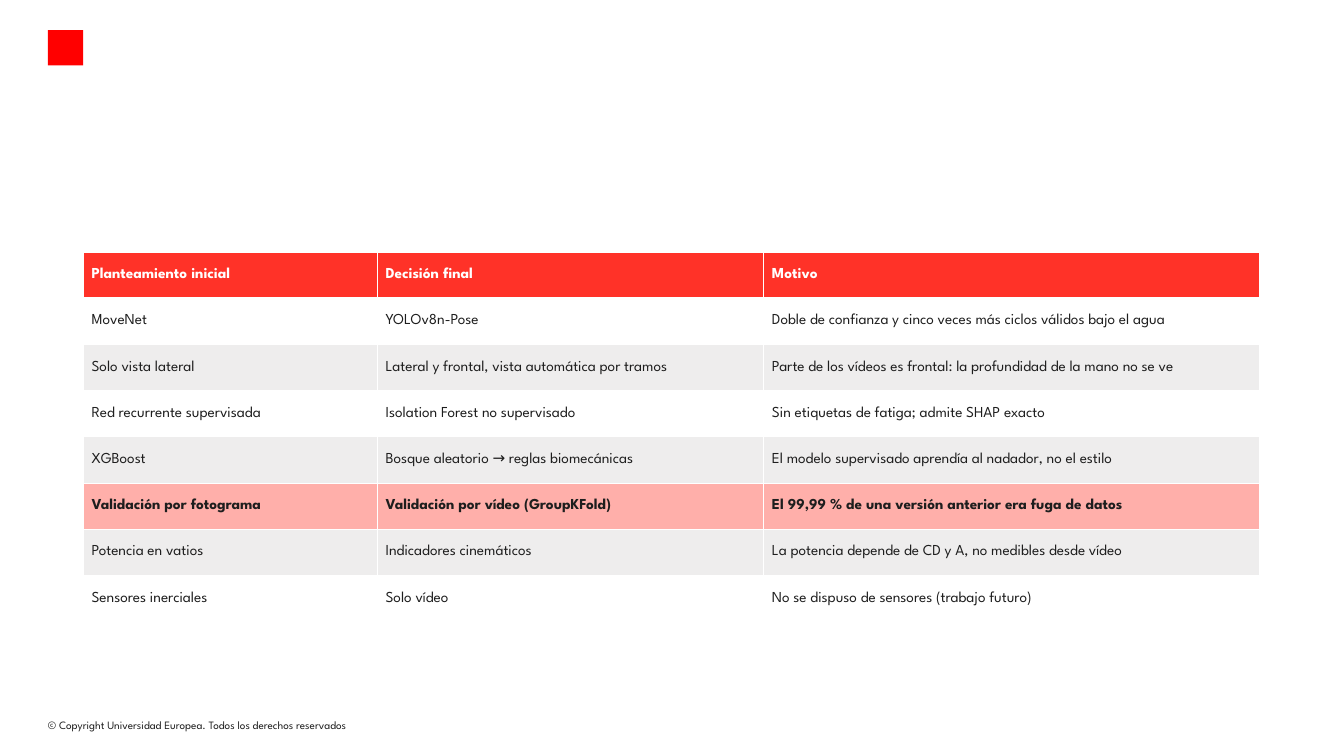
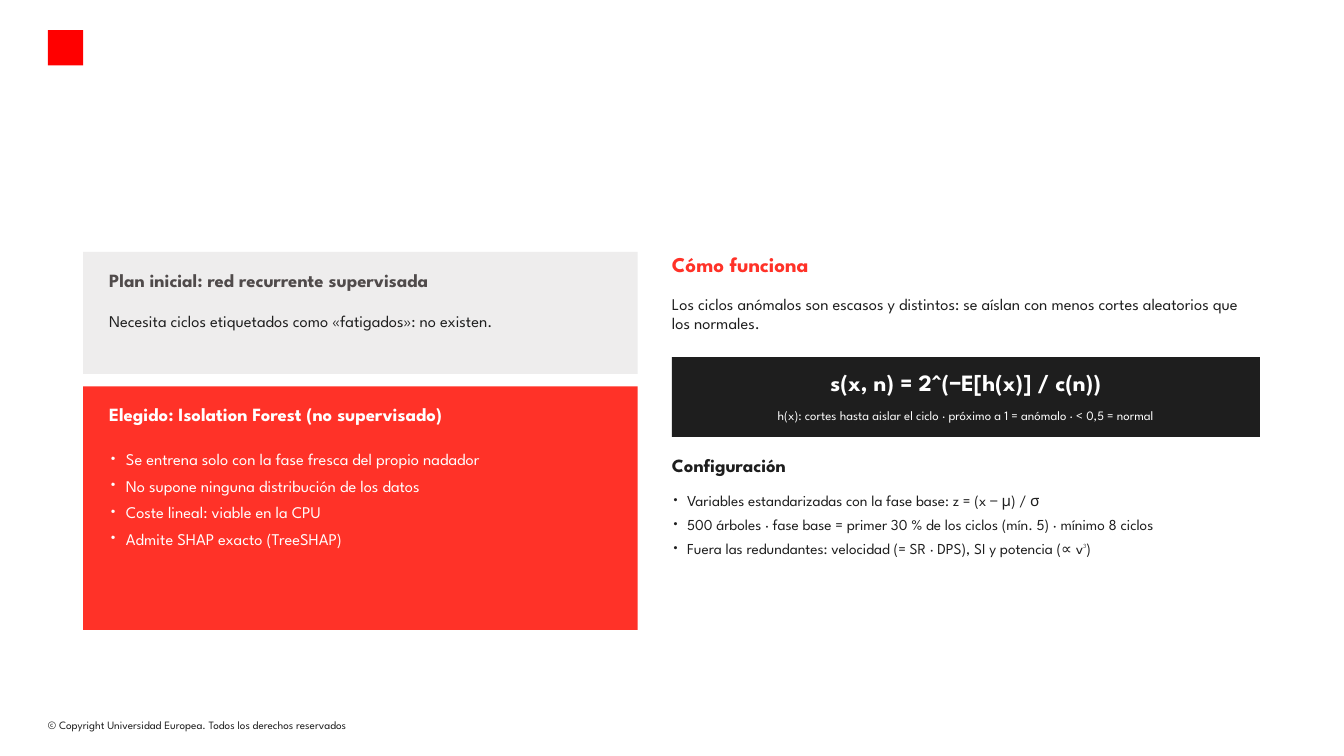
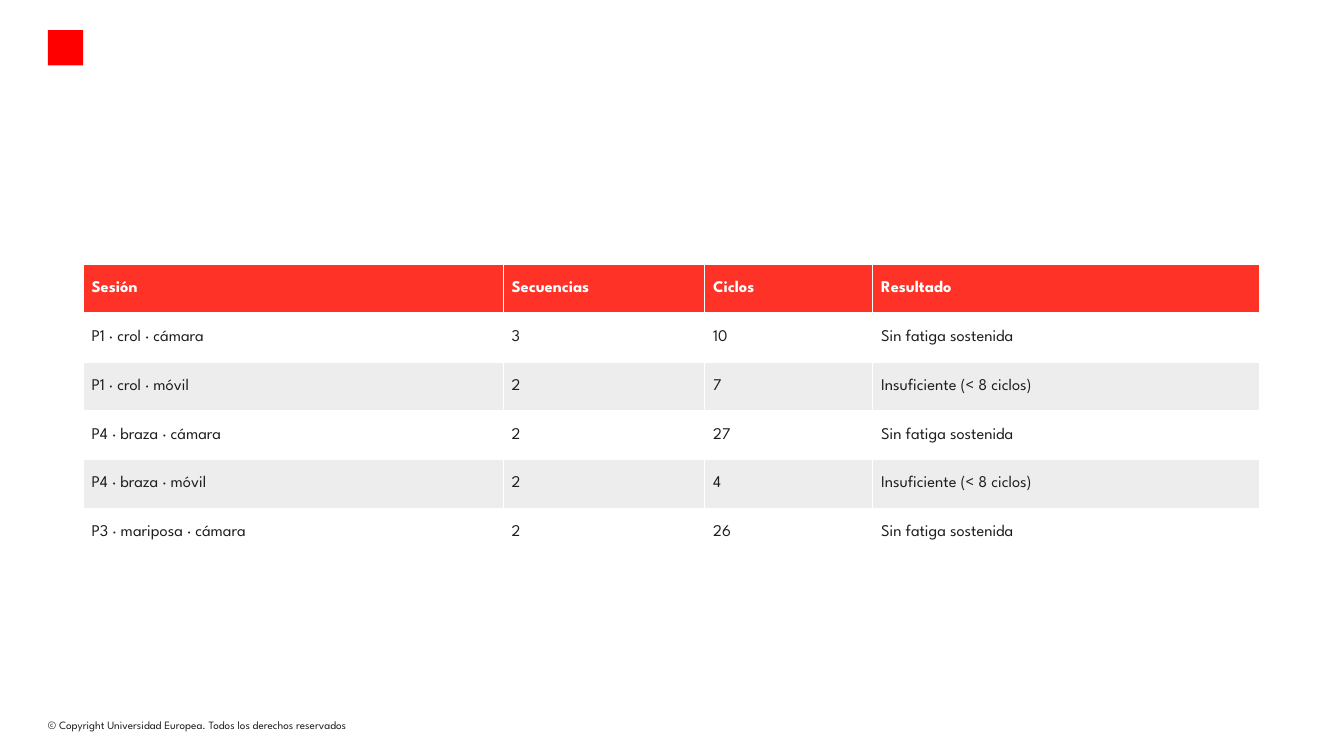
from dataclasses import dataclass

from lxml import etree
from pptx import Presentation
from pptx.dml.color import RGBColor
from pptx.enum.shapes import MSO_SHAPE
from pptx.enum.text import MSO_ANCHOR, PP_ALIGN
from pptx.oxml.ns import qn
from pptx.util import Inches, Pt

RECT = MSO_SHAPE.RECTANGLE
TOP, MIDDLE = MSO_ANCHOR.TOP, MSO_ANCHOR.MIDDLE
LEFT, CENTER = PP_ALIGN.LEFT, PP_ALIGN.CENTER
BLANK = 6


@dataclass(frozen=True)
class Theme:
    font: str = "League Spartan"
    red: str = "FF3228"
    mark: str = "FF0000"
    pink: str = "FFAFAA"
    gray: str = "EEEDED"
    slate: str = "504B4B"
    ink: str = "1E1E1E"
    white: str = "FFFFFF"
    big: float = 20
    title: float = 18
    head: float = 16
    body: float = 14
    small: float = 13
    note: float = 11
    foot: float = 9.6


T = Theme()
WIDE, HIGH = 16, 9
EDGE = 0.99      # left edge of the content
RIGHT = 8        # left edge of the second column
LEFT_W, RIGHT_W = 6.6, 7
PAD = 0.31       # text inset inside a panel
RULE, THICK = 1, 3

FOOTER = "© Copyright Universidad Europea. Todos los derechos reservados"

CHOICES = {
    "top": 3, "row": 0.55, "size": T.small, "strong": 5,
    "cols": [3.5, 4.6, 5.9],
    "rows": [
        ("Planteamiento inicial", "Decisión final", "Motivo"),
        ("MoveNet", "YOLOv8n-Pose",
         "Doble de confianza y cinco veces más ciclos válidos bajo el agua"),
        ("Solo vista lateral", "Lateral y frontal, vista automática por tramos",
         "Parte de los vídeos es frontal: la profundidad de la mano no se ve"),
        ("Red recurrente supervisada", "Isolation Forest no supervisado",
         "Sin etiquetas de fatiga; admite SHAP exacto"),
        ("XGBoost", "Bosque aleatorio → reglas biomecánicas",
         "El modelo supervisado aprendía al nadador, no el estilo"),
        ("Validación por fotograma", "Validación por vídeo (GroupKFold)",
         "El 99,99 % de una versión anterior era fuga de datos"),
        ("Potencia en vatios", "Indicadores cinemáticos",
         "La potencia depende de CD y A, no medibles desde vídeo"),
        ("Sensores inerciales", "Solo vídeo",
         "No se dispuso de sensores (trabajo futuro)"),
    ],
}

SESSIONS = {
    "top": 3.15, "row": 0.58, "size": T.body, "strong": None,
    "cols": [5, 2.4, 2, 4.6],
    "rows": [
        ("Sesión", "Secuencias", "Ciclos", "Resultado"),
        ("P1 · crol · cámara", "3", "10", "Sin fatiga sostenida"),
        ("P1 · crol · móvil", "2", "7", "Insuficiente (< 8 ciclos)"),
        ("P4 · braza · cámara", "2", "27", "Sin fatiga sostenida"),
        ("P4 · braza · móvil", "2", "4", "Insuficiente (< 8 ciclos)"),
        ("P3 · mariposa · cámara", "2", "26", "Sin fatiga sostenida"),
    ],
}

# left, top, width, height, fill
PANELS = [
    (EDGE, 3, LEFT_W, 1.45, T.gray),
    (EDGE, 4.6, LEFT_W, 2.9, T.red),
    (RIGHT, 4.25, RIGHT_W, 0.95, T.ink),
]

# column, top, height, lines, format
INNER = (EDGE + PAD, 6)
OUTER = (RIGHT, RIGHT_W)
TEXTS = [
    (INNER, 3.2, 0.4, ["Plan inicial: red recurrente supervisada"],
     dict(size=T.head, color=T.slate, bold=True)),
    (INNER, 3.7, 0.7,
     ["Necesita ciclos etiquetados como «fatigados»: no existen."],
     dict(size=T.body, color=T.ink)),
    (INNER, 4.8, 0.4, ["Elegido: Isolation Forest (no supervisado)"],
     dict(size=T.head, color=T.white, bold=True)),
    (INNER, 5.35, 2.1,
     ["Se entrena solo con la fase fresca del propio nadador",
      "No supone ninguna distribución de los datos",
      "Coste lineal: viable en la CPU",
      "Admite SHAP exacto (TreeSHAP)"],
     dict(size=T.body, color=T.white, hang=0.2)),
    (OUTER, 3, 0.4, ["Cómo funciona"],
     dict(size=T.title, color=T.red, bold=True)),
    (OUTER, 3.5, 0.7,
     ["Los ciclos anómalos son escasos y distintos: se aíslan con menos "
      "cortes aleatorios que los normales."],
     dict(size=T.body, color=T.ink)),
    (OUTER, 4.25, 0.6, ["s(x, n) = 2^(−E[h(x)] / c(n))"],
     dict(size=T.big, color=T.white, bold=True, align=CENTER, anchor=MIDDLE)),
    (OUTER, 4.85, 0.35,
     ["h(x): cortes hasta aislar el ciclo · próximo a 1 = anómalo · "
      "< 0,5 = normal"],
     dict(size=T.note, color=T.white, align=CENTER)),
    (OUTER, 5.4, 0.4, ["Configuración"],
     dict(size=T.head, color=T.ink, bold=True)),
    (OUTER, 5.85, 1.7,
     ["Variables estandarizadas con la fase base: z = (x − μ) / σ",
      "500 árboles · fase base = primer 30 % de los ciclos (mín. 5) · "
      "mínimo 8 ciclos",
      "Fuera las redundantes: velocidad (= SR · DPS), SI y potencia (∝ v³)"],
     dict(size=T.small, color=T.ink, hang=0.18, after=5)),
]


def rgb(code):
    return RGBColor.from_string(code)


def paint(thing, code):
    thing.fill.solid()
    thing.fill.fore_color.rgb = rgb(code)


def add_run(para, text, size, color, bold=False):
    run = para.add_run()
    run.text = text
    font = run.font
    font.name, font.size, font.bold = T.font, Pt(size), bold
    font.color.rgb = rgb(color)


def add_bullet(para, hang):
    props = para._p.get_or_add_pPr()
    props.set("marL", str(Inches(hang)))
    props.set("indent", str(-Inches(hang)))
    etree.SubElement(props, qn("a:buFont")).set("typeface", T.font)
    etree.SubElement(props, qn("a:buChar")).set("char", "•")


def add_text(slide, box, lines, size, color, bold=False, align=LEFT,
             anchor=TOP, hang=0, after=6):
    shape = slide.shapes.add_textbox(*map(Inches, box))
    frame = shape.text_frame
    frame.word_wrap = True
    frame.vertical_anchor = anchor
    frame.margin_left = frame.margin_right = 0
    frame.margin_top = frame.margin_bottom = 0
    for i, line in enumerate(lines):
        para = frame.add_paragraph() if i else frame.paragraphs[0]
        para.alignment = align
        para.space_after = Pt(after)
        if hang:
            add_bullet(para, hang)
        add_run(para, line, size, color, bold)
    return shape


def add_panel(slide, left, top, width, height, fill):
    shape = slide.shapes.add_shape(
        RECT, *map(Inches, (left, top, width, height)))
    shape.shadow.inherit = False
    paint(shape, fill)
    shape.line.fill.background()
    return shape


def add_rules(cell, row):
    """Draw white cell borders, thicker under the header row."""
    props = cell._tc.get_or_add_tcPr()
    widths = {"L": RULE, "R": RULE,
              "T": THICK if row == 1 else RULE,
              "B": THICK if row == 0 else RULE}
    for side, width in widths.items():
        line = etree.SubElement(props, qn("a:ln" + side), w=str(Pt(width)))
        fill = etree.SubElement(line, qn("a:solidFill"))
        etree.SubElement(fill, qn("a:srgbClr")).set("val", T.white)


def row_fill(row, strong):
    if row == 0:
        return T.red
    if row == strong:
        return T.pink
    return T.white if row % 2 else T.gray


def add_grid(slide, data):
    rows, cols = data["rows"], data["cols"]
    box = (EDGE, data["top"], sum(cols), data["row"] * len(rows))
    table = slide.shapes.add_table(
        len(rows), len(cols), *map(Inches, box)).table
    for col, width in zip(table.columns, cols):
        col.width = Inches(width)
    for r, texts in enumerate(rows):
        table.rows[r].height = Inches(data["row"])
        for c, text in enumerate(texts):
            cell = table.cell(r, c)
            cell.vertical_anchor = MIDDLE
            cell.margin_left = cell.margin_right = Inches(0.1)
            cell.margin_top = cell.margin_bottom = Inches(0.03)
            add_rules(cell, r)
            paint(cell, row_fill(r, data["strong"]))
            add_run(cell.text_frame.paragraphs[0], text, data["size"],
                    T.ink if r else T.white, r in (0, data["strong"]))


def share(slide):
    """Put the footer and the red mark on the layout used by all slides."""
    parts = [
        add_text(slide, (0.57, 8.55, 4.22, 0.16), [FOOTER],
                 size=T.foot, color=T.ink, after=0),
        add_panel(slide, 0.57, 0.36, 0.42, 0.42, T.mark),
    ]
    tree = slide.slide_layout.shapes.element
    for part in parts:
        tree.append(part.element)


def main():
    deck = Presentation()
    deck.slide_width, deck.slide_height = Inches(WIDE), Inches(HIGH)
    layout = deck.slide_layouts[BLANK]
    for hold in list(layout.placeholders):
        hold.element.getparent().remove(hold.element)
    first, second, third = (deck.slides.add_slide(layout) for _ in range(3))
    share(first)

    add_grid(first, CHOICES)
    for panel in PANELS:
        add_panel(second, *panel)
    for (left, width), top, height, lines, style in TEXTS:
        add_text(second, (left, top, width, height), lines, **style)
    add_grid(third, SESSIONS)
    deck.save("out.pptx")


if __name__ == "__main__":
    main()
